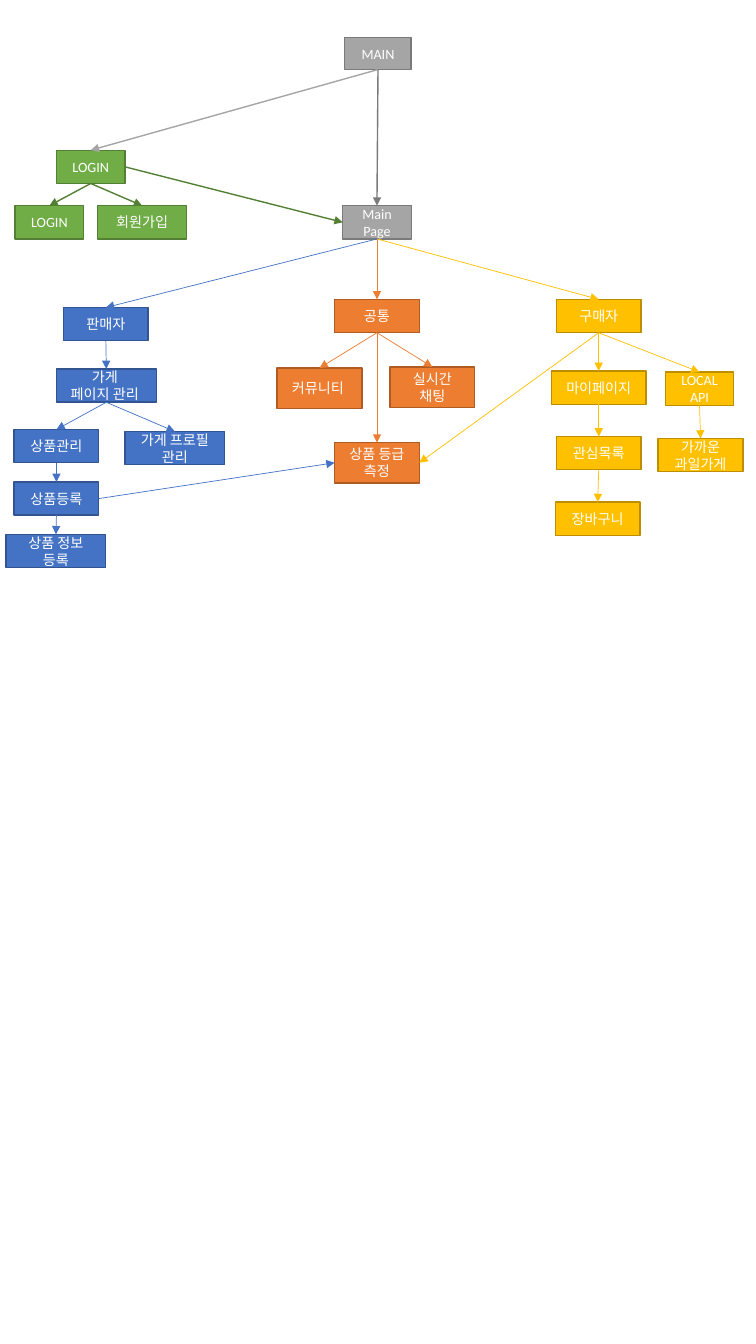
from dataclasses import dataclass

from lxml import etree
from pptx import Presentation
from pptx import util as u
from pptx.dml.color import RGBColor
from pptx.enum import shapes, text
from pptx.oxml import ns

PX = 9144  # 100 px to the inch
FILLS = {"grey": "A5A5A5", "green": "70AD47", "blue": "4472C4",
         "orange": "ED7D31", "yellow": "FFC000"}
BORDERS = {"grey": "7A7A7A", "green": "538035", "blue": "325491",
           "orange": "AF5C24", "yellow": "BD8E00"}
WHITE = "FFFFFF"
TOP, LEFT, BOTTOM, RIGHT = range(4)  # connection sites of a rectangle


@dataclass
class Box:
    key: str
    label: str
    hue: str
    x: int
    y: int
    w: int = 84
    h: int = 33


@dataclass
class Link:
    start: str
    end: str
    color: str
    width: float = 0.5
    leave: int = BOTTOM
    enter: int = TOP


BOXES = [
    Box("main", "MAIN", "grey", 342, 37, 66, 32),
    Box("main page", "Main Page", "grey", 340, 204, 68),
    Box("login", "LOGIN", "green", 56, 149, 68),
    Box("login form", "LOGIN", "green", 15, 204, 68),
    Box("sign up", "회원가입", "green", 97, 204, 88),
    Box("seller", "판매자", "blue", 63, 305),
    Box("shop page", "가게 \n페이지 관리 ", "blue", 56, 366, 99),
    Box("goods", "상품관리", "blue", 14, 426),
    Box("shop profile", "가게 프로필 관리", "blue", 124, 428, 99),
    Box("add goods", "상품등록", "blue", 14, 478),
    Box("goods info", "상품 정보 등록", "blue", 6, 530, 99),
    Box("common", "공통", "orange", 332, 297),
    Box("community", "커뮤니티 ", "orange", 275, 365, h=40),
    Box("chat", "실시간 채팅", "orange", 387, 364, h=40),
    Box("grading", "상품 등급 측정", "orange", 332, 439, h=40),
    Box("buyer", "구매자", "yellow", 552, 297),
    Box("my page", "마이페이지", "yellow", 547, 368, 94),
    Box("map api", "LOCAL API", "yellow", 660, 369, 68),
    Box("near shops", "가까운 과일가게", "yellow", 653, 435),
    Box("wish list", "관심목록", "yellow", 552, 433),
    Box("cart", "장바구니", "yellow", 551, 498),
]

LINKS = [
    Link("main", "login", FILLS["grey"], 1),
    Link("main", "main page", BORDERS["grey"], 1),
    Link("login", "login form", BORDERS["green"], 1),
    Link("login", "sign up", BORDERS["green"], 1),
    Link("login", "main page", BORDERS["green"], 1, RIGHT, LEFT),
    Link("main page", "seller", FILLS["blue"]),
    Link("seller", "shop page", FILLS["blue"]),
    Link("shop page", "goods", FILLS["blue"]),
    Link("shop page", "shop profile", FILLS["blue"]),
    Link("goods", "add goods", FILLS["blue"]),
    Link("add goods", "goods info", FILLS["blue"]),
    Link("add goods", "grading", FILLS["blue"], leave=RIGHT, enter=LEFT),
    Link("main page", "common", FILLS["orange"]),
    Link("common", "community", FILLS["orange"]),
    Link("common", "chat", FILLS["orange"]),
    Link("common", "grading", FILLS["orange"]),
    Link("main page", "buyer", FILLS["yellow"]),
    Link("buyer", "grading", FILLS["yellow"], enter=RIGHT),
    Link("buyer", "my page", FILLS["yellow"]),
    Link("buyer", "map api", FILLS["yellow"]),
    Link("map api", "near shops", FILLS["yellow"]),
    Link("my page", "wish list", FILLS["yellow"]),
    Link("wish list", "cart", FILLS["yellow"]),
]


def draw_box(s, box: Box):
    sp = s.shapes.add_shape(shapes.MSO_SHAPE.RECTANGLE, box.x * PX, box.y * PX,
                            box.w * PX, box.h * PX)
    sp.shadow.inherit = False
    sp.fill.solid()
    sp.fill.fore_color.rgb = RGBColor.from_string(FILLS[box.hue])
    sp.line.color.rgb = RGBColor.from_string(BORDERS[box.hue])
    sp.line.width = u.Pt(1)
    tf = sp.text_frame
    tf.word_wrap = True
    tf.vertical_anchor = text.MSO_ANCHOR.MIDDLE
    tf.text = box.label
    for p in tf.paragraphs:
        p.alignment = text.PP_ALIGN.CENTER
        p.font.name = "Calibri"
        p.font.size = u.Pt(10.1)
        p.font.color.rgb = RGBColor.from_string(WHITE)
    return sp


def draw_link(s, link: Link, drawn: dict) -> None:
    """Glue an arrow to the sides of two boxes."""
    cn = s.shapes.add_connector(shapes.MSO_CONNECTOR.STRAIGHT, 0, 0, 0, 0)
    cn.begin_connect(drawn[link.start], link.leave)
    cn.end_connect(drawn[link.end], link.enter)
    cn.line.color.rgb = RGBColor.from_string(link.color)
    cn.line.width = u.Pt(link.width)
    etree.SubElement(cn.line._get_or_add_ln(), ns.qn("a:tailEnd"), type="triangle")
    etree.SubElement(cn._element.spPr, ns.qn("a:effectLst"))


def main() -> None:
    prs = Presentation()
    prs.slide_width, prs.slide_height = 750 * PX, 1333 * PX
    s = prs.slides.add_slide(prs.slide_layouts[6])
    drawn = {box.key: draw_box(s, box) for box in BOXES}
    for link in LINKS:
        draw_link(s, link, drawn)
    prs.save("out.pptx")


if __name__ == "__main__":
    main()
